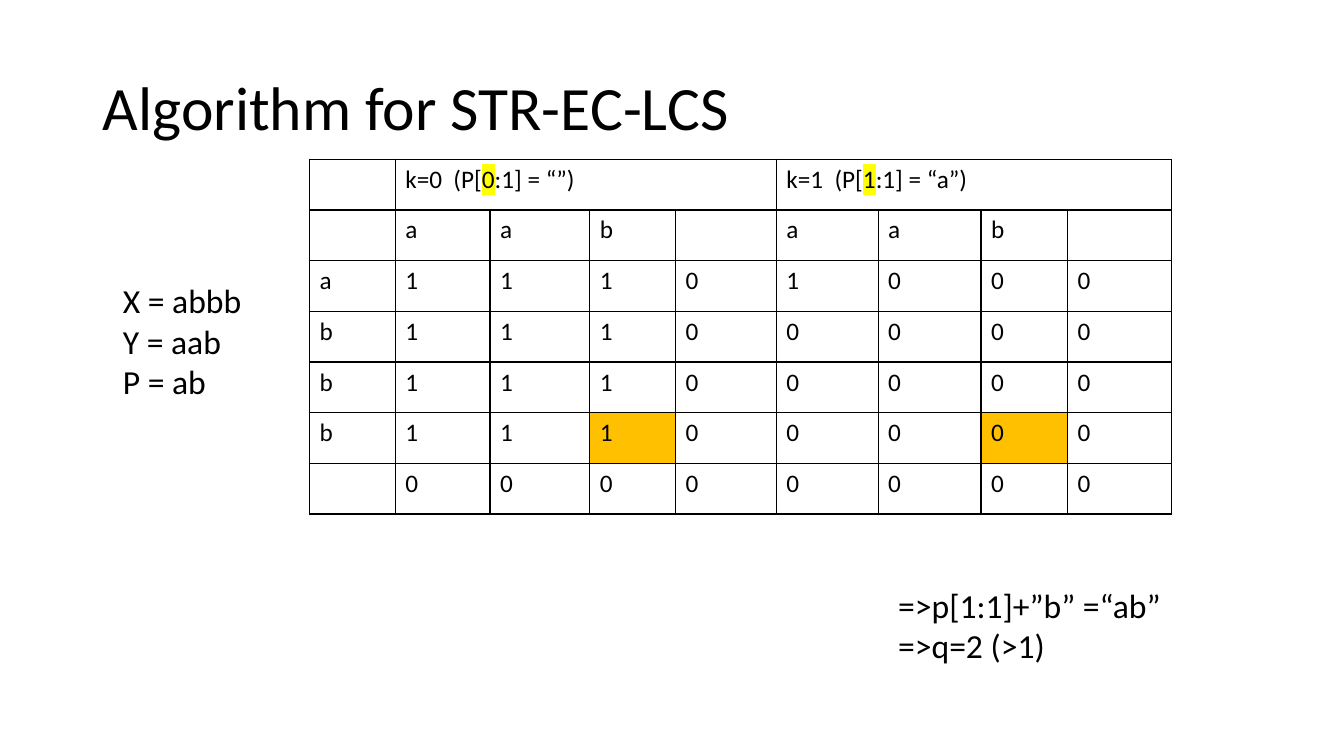
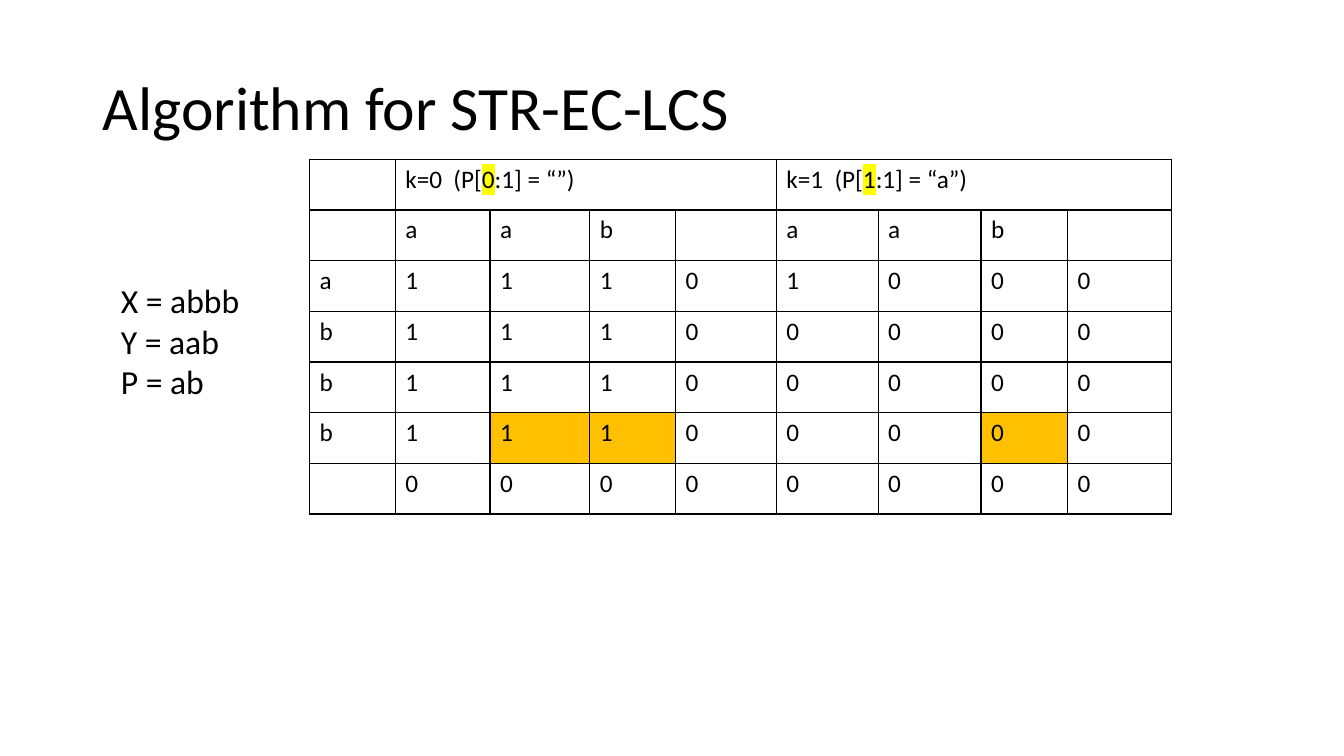
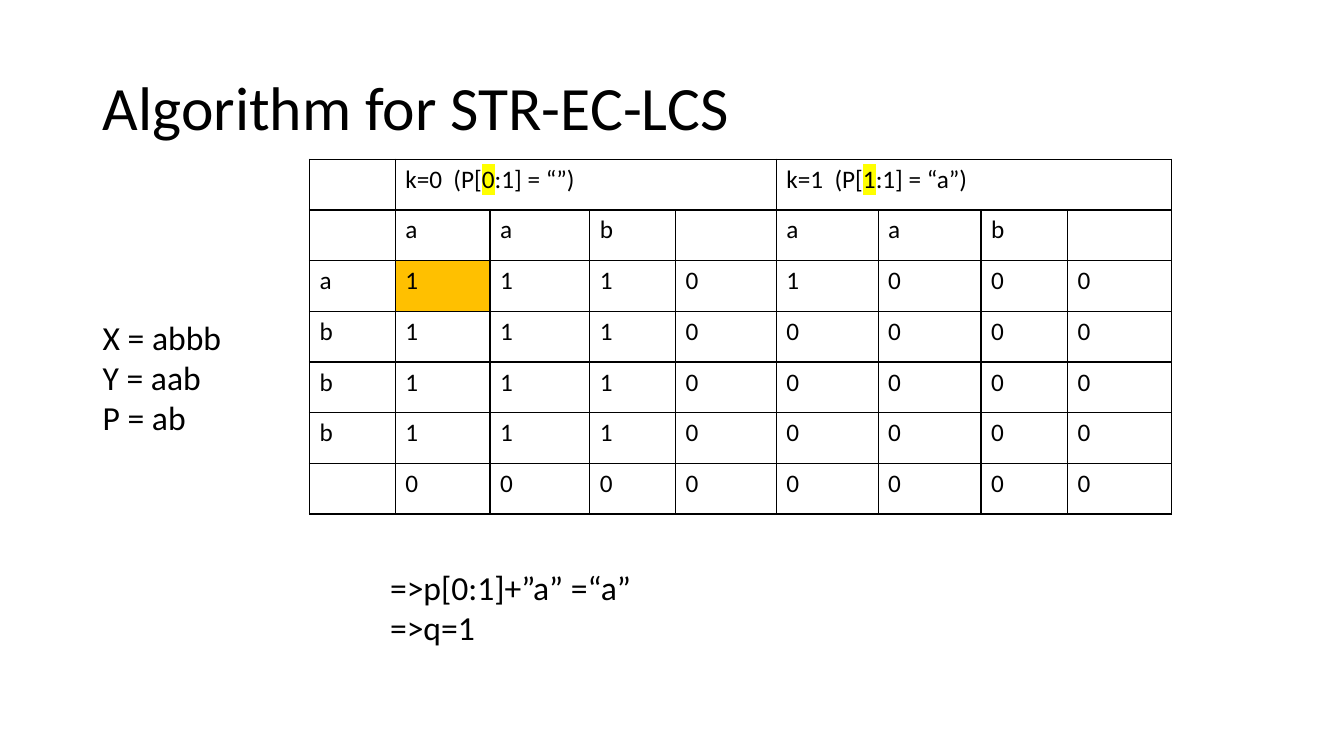
from lxml import etree
from pptx import Presentation
from pptx.dml.color import RGBColor
from pptx.enum.text import MSO_ANCHOR, MSO_AUTO_SIZE, PP_ALIGN
from pptx.oxml.ns import qn
from pptx.util import Inches, Pt

LEFT = PP_ALIGN.LEFT
MIDDLE = MSO_ANCHOR.MIDDLE
GROW = MSO_AUTO_SIZE.SHAPE_TO_FIT_TEXT
FIXED = MSO_AUTO_SIZE.NONE

FONT = "Calibri"
BLACK = "000000"
AMBER = "FFC000"
YELLOW = "FFFF00"

TITLE = "Algorithm for STR-EC-LCS"
TITLE_BOX = (0.92, 0.67, 11.5, 0.86)
TABLE_BOX = (3.07, 1.58, 8.55, 3.52)
COLUMN_WIDTHS = (0.85, 0.94, 0.99, 0.85, 1, 1.01, 1.02, 0.86, 1.03)
STRINGS = ("X = abbb", "Y = aab", "P = ab")
GROUPS = (
    (1, ("k=0  (P[", "0", ":1] = “”)")),
    (5, ("k=1  (P[", "1", ":1] = “a”)")),
)
GROUP_SPAN = 4
STATES = (
    ("", "a", "a", "b", "", "a", "a", "b", ""),
    ("a", "1", "1", "1", "0", "1", "0", "0", "0"),
    *[("b", "1", "1", "1", "0", "0", "0", "0", "0")] * 3,
    ("", *"00000000"),
)

STEPS = (
    {
        "strings_box": (1.12, 2.73, 1.46, 1.31),
        "marked": {(5, 3), (5, 7)},
        "result_box": (8.81, 5.75, 3.45, 0.91),
        "result": ("=>p[1:1]+”b” =“ab”", "=>q=2 (>1)"),
    },
    {
        "strings_box": (1.1, 2.73, 1.38, 1.31),
        "marked": {(5, 2), (5, 3), (5, 7)},
    },
    {
        "strings_box": (0.92, 3.09, 1.77, 1.31),
        "marked": {(2, 1)},
        "result_box": (3.77, 5.57, 3.45, 0.91),
        "result": ("=>p[0:1]+”a” =“a”", "=>q=1"),
    },
)


def rgb(value):
    return RGBColor.from_string(value)


def inches(box):
    return [Inches(length) for length in box]


def format_font(paragraph, size):
    paragraph.font.name = FONT
    paragraph.font.size = Pt(size)
    paragraph.font.color.rgb = rgb(BLACK)


def add_title(slide, box):
    title = slide.shapes.title
    title.left, title.top, title.width, title.height = inches(box)
    frame = title.text_frame
    frame.text = TITLE
    frame.auto_size = FIXED
    frame.vertical_anchor = MIDDLE
    heading = frame.paragraphs[0]
    heading.alignment = LEFT
    heading.line_spacing = 0.9
    format_font(heading, 44)


def add_lines(slide, box, lines):
    frame = slide.shapes.add_textbox(*inches(box)).text_frame
    frame.word_wrap = True
    frame.auto_size = GROW
    frame.text = "\n".join(lines)
    for paragraph in frame.paragraphs:
        format_font(paragraph, 24)


def add_color(parent, tag, color):
    holder = etree.SubElement(parent, qn(tag))
    etree.SubElement(holder, qn("a:srgbClr"), val=color)


def outline(cell):
    properties = cell._tc.get_or_add_tcPr()
    for side in ("a:lnL", "a:lnR", "a:lnT", "a:lnB"):
        edge = etree.SubElement(properties, qn(side), w=str(Pt(1)))
        add_color(edge, "a:solidFill", BLACK)


def write_group(table, column, parts):
    cell = table.cell(0, column)
    cell.merge(table.cell(0, column + GROUP_SPAN - 1))
    paragraph = cell.text_frame.paragraphs[0]
    runs = [paragraph.add_run() for _ in parts]
    for run, part in zip(runs, parts):
        run.text = part
    add_color(runs[1]._r.get_or_add_rPr(), "a:highlight", YELLOW)


def add_state_table(slide, box, marked):
    row_count = len(STATES) + 1
    table = slide.shapes.add_table(
        row_count, len(COLUMN_WIDTHS), *inches(box)).table
    table.first_row = False
    table.horz_banding = False
    for column, width in zip(table.columns, COLUMN_WIDTHS):
        column.width = Inches(width)
    for row in table.rows:
        row.height = Inches(box[3] / row_count)
    for column, parts in GROUPS:
        write_group(table, column, parts)
    for r, values in enumerate(STATES, 1):
        for c, value in enumerate(values):
            table.cell(r, c).text = value
    for r in range(row_count):
        for c in range(len(COLUMN_WIDTHS)):
            cell = table.cell(r, c)
            format_font(cell.text_frame.paragraphs[0], 18)
            outline(cell)
            if (r, c) in marked:
                cell.fill.solid()
                cell.fill.fore_color.rgb = rgb(AMBER)
            else:
                cell.fill.background()


def add_step(deck, step):
    slide = deck.slides.add_slide(deck.slide_layouts[5])
    add_title(slide, TITLE_BOX)
    add_lines(slide, step["strings_box"], STRINGS)
    if "result" in step:
        add_lines(slide, step["result_box"], step["result"])
    add_state_table(slide, TABLE_BOX, step["marked"])


def main():
    deck = Presentation()
    deck.slide_width = Inches(13.33)
    deck.slide_height = Inches(7.5)
    for step in STEPS:
        add_step(deck, step)
    deck.save("out.pptx")


if __name__ == "__main__":
    main()
